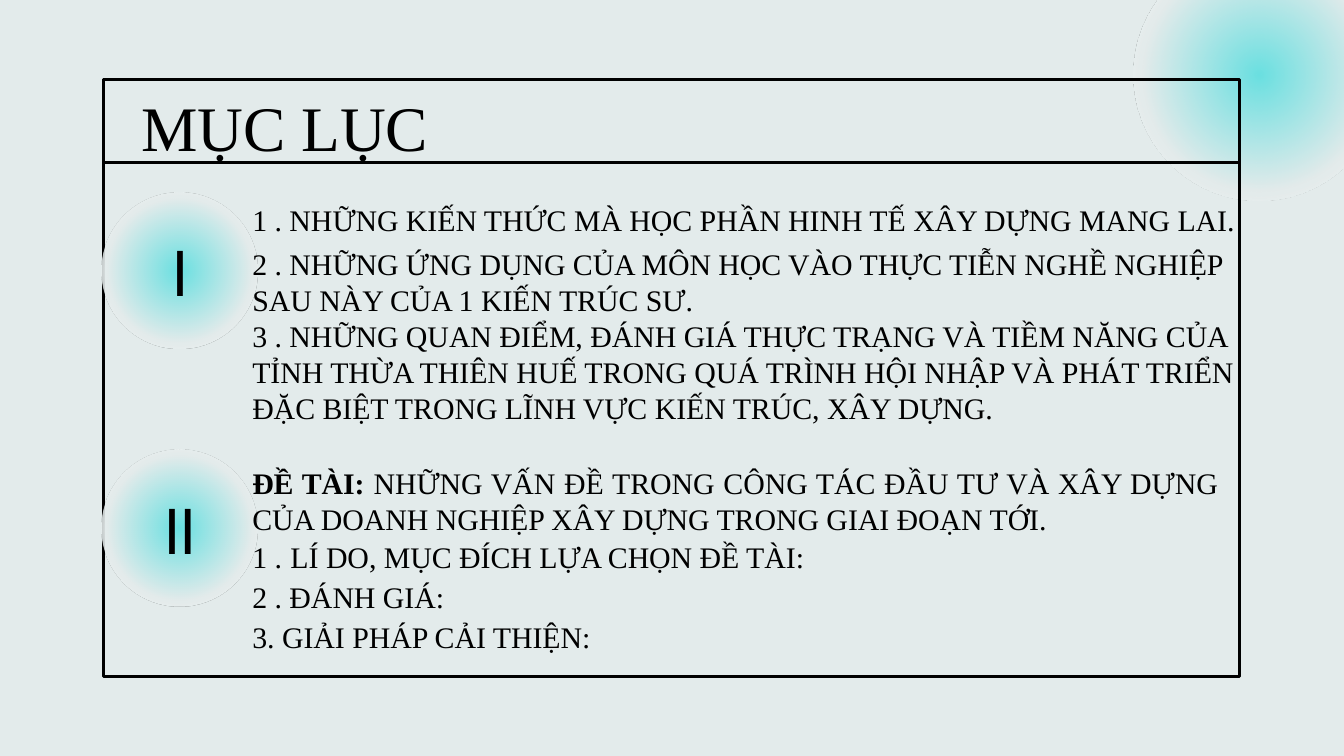
from lxml.etree import SubElement
from pptx import Presentation
from pptx.dml.color import RGBColor
from pptx.enum.shapes import MSO_CONNECTOR, MSO_SHAPE
from pptx.enum.text import MSO_ANCHOR, MSO_AUTO_SIZE, PP_ALIGN
from pptx.oxml import parse_xml
from pptx.oxml.ns import nsdecls, qn
from pptx.util import Pt

COLORS = {"back": "E3EBEB", "glow": "6AE0E1", "edge": "FFFFFF", "ink": "000000"}
SERIF = "Times New Roman"
SANS = "Roboto Condensed"

ONE = [
    (-0.7, 31, 543, PP_ALIGN.LEFT,
     [("1 . NHỮNG KIẾN THỨC MÀ HỌC PHẦN HINH TẾ XÂY DỰNG MANG LAI.", 16, False)]),
    (32.4, 31, 543, PP_ALIGN.LEFT,
     [("2 . NHỮNG ỨNG DỤNG CỦA MÔN HỌC VÀO THỰC TIỄN NGHỀ NGHIỆP "
       "SAU NÀY CỦA 1 KIẾN TRÚC SƯ.", 16, False)]),
    (69.1, 54, 543, PP_ALIGN.LEFT,
     [("3 . NHỮNG QUAN ĐIỂM, ĐÁNH GIÁ THỰC TRẠNG VÀ TIỀM NĂNG CỦA "
       "TỈNH THỪA THIÊN HUẾ TRONG QUÁ TRÌNH HỘI NHẬP VÀ PHÁT TRIỂN "
       "ĐẶC BIỆT TRONG LĨNH VỰC KIẾN TRÚC, XÂY DỰNG.", 16, False)]),
]
TWO = [
    (0, 54, 532, PP_ALIGN.JUSTIFY,
     [("ĐỀ TÀI: ", 16, True),
      ("NHỮNG VẤN ĐỀ TRONG CÔNG TÁC ĐẦU TƯ VÀ XÂY DỰNG "
       "CỦA DOANH NGHIỆP XÂY DỰNG TRONG GIAI ĐOẠN TỚI.", 16, False)]),
    (43.9, 24.5, 543, PP_ALIGN.LEFT,
     [("1 .", 16, False), (" ", 18, True),
      ("LÍ DO, MỤC ĐÍCH LỰA CHỌN ĐỀ TÀI:", 16, False)]),
    (66.2, 24.5, 543, PP_ALIGN.LEFT, [("2 . ĐÁNH GIÁ:", 16, False)]),
    (87.8, 24.5, 543, PP_ALIGN.LEFT, [("3. GIẢI PHÁP CẢI THIỆN:", 16, False)]),
]


def color(key):
    return RGBColor.from_string(COLORS[key])


def write(shape, runs, font=SERIF, align=PP_ALIGN.LEFT):
    frame = shape.text_frame
    frame.word_wrap = True
    frame.auto_size = MSO_AUTO_SIZE.NONE
    frame.vertical_anchor = MSO_ANCHOR.MIDDLE
    frame.margin_left = frame.margin_right = Pt(7.2)
    frame.margin_top = frame.margin_bottom = Pt(7.2)
    para = frame.paragraphs[0]
    para.alignment = align
    para.font.name = font
    para.font.color.rgb = color("ink")
    for text, size, bold in runs:
        run = para.add_run()
        run.text = text
        run.font.size = Pt(size)
        run.font.bold = bold


def add_text(slide, left, top, width, height, *style):
    box = slide.shapes.add_textbox(Pt(left), Pt(top), Pt(width), Pt(height))
    write(box, *style)


def add_glow(slide, left, top, size):
    disc = slide.shapes.add_shape(
        MSO_SHAPE.OVAL, Pt(left), Pt(top), Pt(size), Pt(size))
    disc.shadow.inherit = False
    disc.rotation = 180
    disc.line.fill.background()
    fill = parse_xml(f'<a:gradFill {nsdecls("a")} rotWithShape="1"><a:gsLst/>'
                     '<a:path path="circle"><a:fillToRect l="50000" t="50000" '
                     'r="50000" b="50000"/></a:path></a:gradFill>')
    for place, key in ((0, "glow"), (65, "back"), (100, "edge")):
        stop = SubElement(fill[0], qn("a:gs"), pos=str(place * 1000))
        tint = SubElement(stop, qn("a:srgbClr"), val=COLORS[key])
        if key == "edge":
            SubElement(tint, qn("a:alpha"), val="0")
    disc.element.spPr.find(qn("a:prstGeom")).addnext(fill)


def add_frame(slide, left, top, width, height):
    rect = slide.shapes.add_shape(
        MSO_SHAPE.RECTANGLE, Pt(left), Pt(top), Pt(width), Pt(height))
    rect.shadow.inherit = False
    rect.fill.background()
    rule = slide.shapes.add_connector(
        MSO_CONNECTOR.STRAIGHT, Pt(left), Pt(top + 44.6),
        Pt(left + width), Pt(top + 44.6))
    SubElement(rule.element.spPr, qn("a:effectLst"))
    for item in (rect, rule):
        item.line.color.rgb = color("ink")
        item.line.width = Pt(1.5)
    title = slide.shapes.title
    title.left, title.top = Pt(left + 13), Pt(top)
    title.width, title.height = Pt(582), Pt(49.7)
    write(title, [("MỤC LỤC", 34, False)])


def add_part(slide, left, top, label, items):
    add_glow(slide, left, top, 83.5)
    add_text(slide, left + 10, top + 26.6, 63.4, 31,
             [(label, 34, False)], SANS, PP_ALIGN.CENTER)
    for drop, height, width, align, runs in items:
        add_text(slide, left + 73.4, top + drop, width, height,
                 runs, SERIF, align)


def main():
    deck = Presentation()
    deck.slide_width, deck.slide_height = Pt(720), Pt(405)
    slide = deck.slides.add_slide(deck.slide_layouts[5])
    slide.background.fill.solid()
    slide.background.fill.fore_color.rgb = color("back")
    add_glow(slide, 607, -27.4, 134.6)
    add_frame(slide, 55.5, 42.5, 608.5, 320)
    add_part(slide, 54.7, 103, "I", ONE)
    add_part(slide, 54.7, 241.2, "II", TWO)
    deck.save("out.pptx")


if __name__ == "__main__":
    main()
